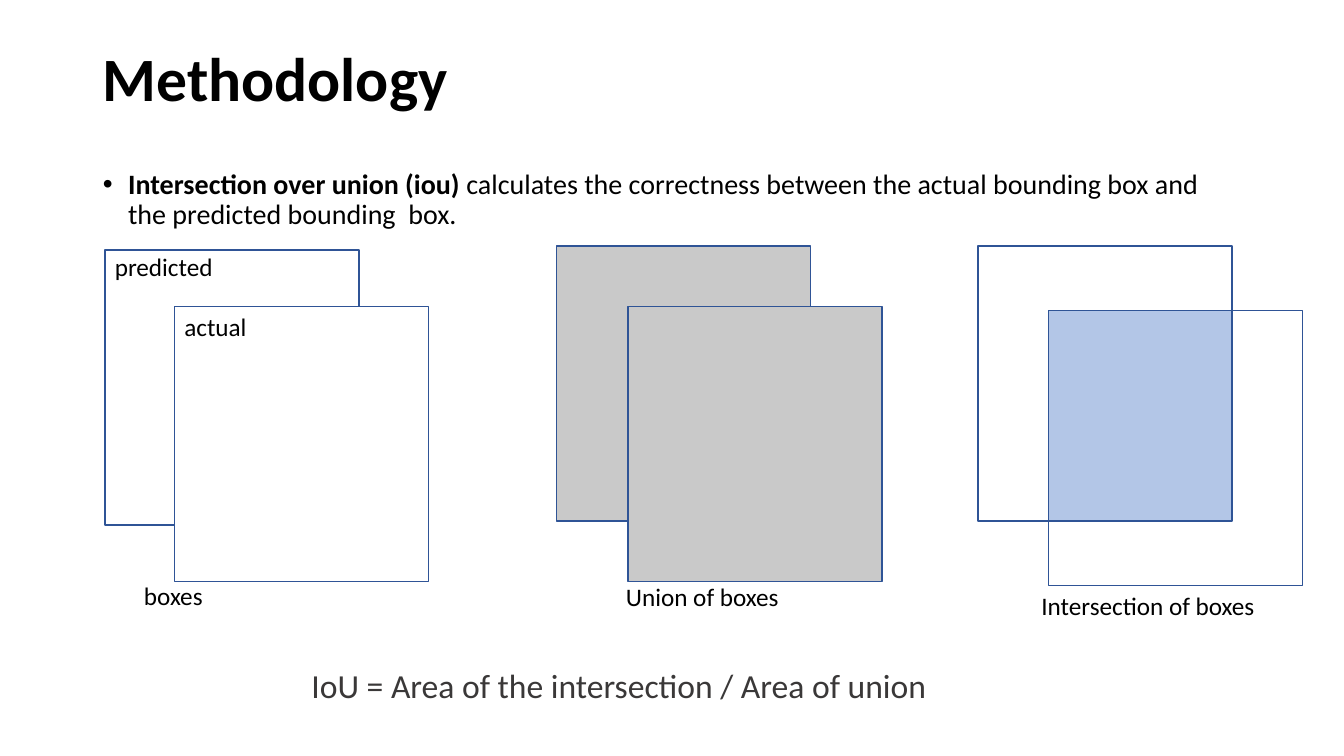
"""Build a slide that explains intersection over union with overlapping boxes."""
from pptx import Presentation
from pptx.dml.color import RGBColor
from pptx.enum.shapes import MSO_SHAPE
from pptx.enum.text import MSO_ANCHOR, MSO_AUTO_SIZE, PP_ALIGN
from pptx.util import Inches, Pt

RECT = MSO_SHAPE.RECTANGLE
LEFT = PP_ALIGN.LEFT
TOP, MIDDLE = MSO_ANCHOR.TOP, MSO_ANCHOR.MIDDLE
NO_FIT = MSO_AUTO_SIZE.NONE

COLORS = {"text": "000000", "formula": "3A3838", "line": "2F5496",
          "plain": "FFFFFF", "union": "C9C9C9", "overlap": "B3C6E7"}
WIDTH, HEIGHT = 13.33, 7.5
MARGIN, CONTENT_W = 0.92, 11.5
BOX_W, BOX_H = 2.52, 2.73

TITLE = [("Methodology", True)]
DEFINITION = [
    ("Intersection over union (iou) ", True),
    ("calculates the correctness between the actual bounding box and "
     "the predicted bounding  box.", False),
]
DIAGRAMS = [
    {"at": (1.04, 2.48), "shift": (0.69, 0.56), "fill": "plain"},
    {"at": (5.52, 2.44), "shift": (0.71, 0.6), "fill": "union"},
    {"at": (9.7, 2.44), "shift": (0.7, 0.64), "fill": "plain", "overlap": "overlap"},
]
LABELS = [
    ("actual", (1.73, 3.04, 0.87, 0.4), 18, "text"),
    ("predicted", (1.04, 2.44, 1.19, 0.4), 18, "text"),
    ("boxes", (1.33, 5.71, 0.9, 0.4), 18, "text"),
    ("Union of boxes", (6.11, 5.72, 1.93, 0.4), 18, "text"),
    ("Intersection of boxes", (10.23, 5.81, 2.32, 0.4), 18, "text"),
    ("IoU = Area of the intersection / Area of union", (2.99, 6.55, 6.63, 0.5), 24, "formula"),
]


def rgb(name):
    return RGBColor.from_string(COLORS[name])


def write(p, runs, size, color="text"):
    p.alignment = LEFT
    for text, bold in runs:
        r = p.add_run()
        r.text = text
        r.font.color.rgb = rgb(color)
        for key, value in {"name": "Calibri", "size": Pt(size), "bold": bold}.items():
            setattr(r.font, key, value)


def fill_placeholder(sp, box, runs, size, anchor):
    for key, value in zip(("left", "top", "width", "height"), box):
        setattr(sp, key, Inches(value))
    tf = sp.text_frame
    for key, value in {"auto_size": NO_FIT, "vertical_anchor": anchor, "word_wrap": True}.items():
        setattr(tf, key, value)
    p = tf.paragraphs[0]
    p.line_spacing, p.space_before = 0.9, Pt(0)
    write(p, runs, size)
    return p


def add_box(s, x, y, w, h, fill):
    sp = s.shapes.add_shape(RECT, *map(Inches, (x, y, w, h)))
    sp.shadow.inherit = False
    sp.fill.solid()
    sp.fill.fore_color.rgb = rgb(fill)
    sp.line.color.rgb = rgb("line")
    sp.line.width = Pt(1)


def add_diagram(s, diagram):
    (x, y), (dx, dy) = diagram["at"], diagram["shift"]
    add_box(s, x, y, BOX_W, BOX_H, diagram["fill"])
    add_box(s, x + dx, y + dy, BOX_W, BOX_H, diagram["fill"])
    if "overlap" in diagram:
        add_box(s, x + dx, y + dy, BOX_W - dx, BOX_H - dy, diagram["overlap"])


def main():
    prs = Presentation()
    prs.slide_width, prs.slide_height = Inches(WIDTH), Inches(HEIGHT)
    s = prs.slides.add_slide(prs.slide_layouts[1])
    fill_placeholder(s.shapes.title, (MARGIN, 0.4, CONTENT_W, 0.82), TITLE, 44, MIDDLE)
    p = fill_placeholder(s.placeholders[1], (MARGIN, 1.64, CONTENT_W, 5.41),
                         DEFINITION, 20, TOP)
    pPr = p._p.get_or_add_pPr()
    pPr.set("marL", str(Inches(0.25)))
    pPr.set("indent", str(Inches(-0.25)))
    for diagram in DIAGRAMS:
        add_diagram(s, diagram)
    for text, box, size, color in LABELS:
        tf = s.shapes.add_textbox(*map(Inches, box)).text_frame
        tf.word_wrap = True
        write(tf.paragraphs[0], [(text, False)], size, color)
    prs.save("out.pptx")


if __name__ == "__main__":
    main()
